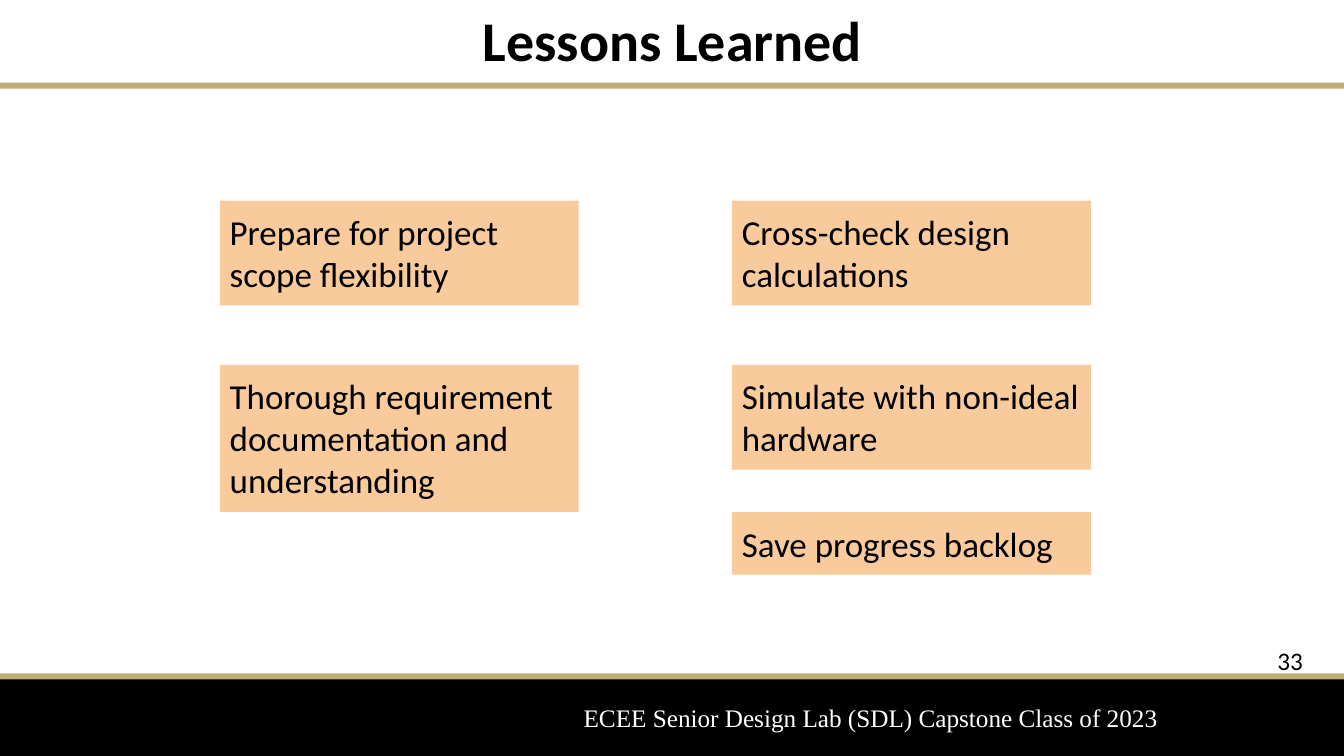
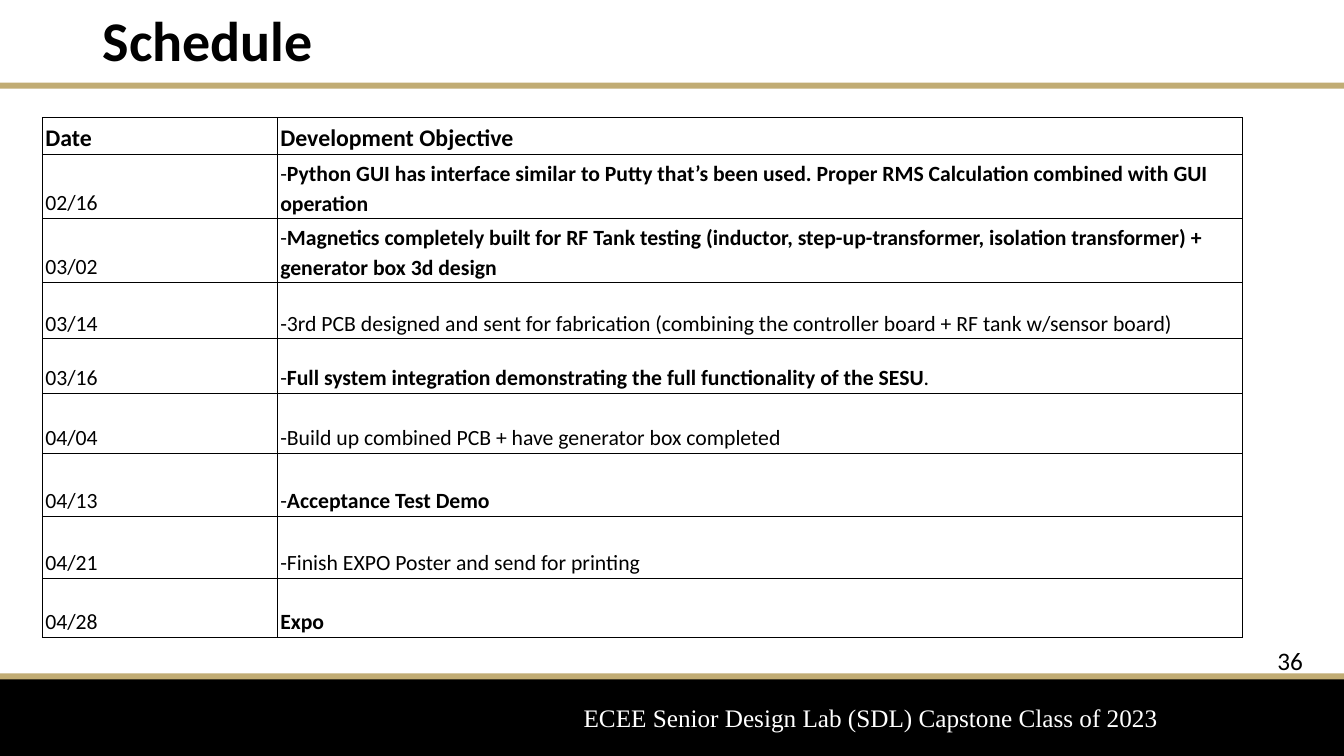
"""Build the lessons learned and schedule slides of a capstone review."""
from dataclasses import dataclass

from lxml import etree
from pptx import Presentation, util as u
from pptx.dml.color import RGBColor
from pptx.enum import shapes, text
from pptx.oxml import ns
from pptx.slide import Slide
from pptx.text.text import TextFrame

COLORS = {"black": "000000", "white": "FFFFFF", "gold": "C1AC74", "peach": "F9CB9C"}
CELL = 0.1
COLUMNS, ROWS = 133.3, 75
RULE_HEIGHT = 0.6
FOOTER_TOP = 67.3
CARD_WIDTH, CARD_LINE, CARD_INSET = 35.6, 4.2, 1
CARD_COLUMNS = (21.8, 72.6)
CARD_ROWS = (19.9, 36.2, 50.8)
TABLE_COLUMNS = (23.3, 95.7)


@dataclass(frozen=True)
class Box:
    """Area in grid columns and rows."""
    left: float
    top: float
    width: float
    height: float

    def lengths(self) -> tuple[int, ...]:
        """Return the area as slide lengths."""
        return tuple(grid(n) for n in (self.left, self.top, self.width, self.height))


@dataclass(frozen=True)
class Card:
    """Lesson at a column and row of the card grid."""
    column: int
    row: int
    lines: int
    wording: str

    def box(self) -> Box:
        """Return the area that fits the card's lines."""
        return Box(CARD_COLUMNS[self.column], CARD_ROWS[self.row], CARD_WIDTH,
                   self.lines * CARD_LINE + 2 * CARD_INSET)


@dataclass(frozen=True)
class Milestone:
    """Schedule row, with bold wording between asterisks."""
    height: float
    date: str
    objective: str
    size: float = 15.5


CARDS = (
    Card(0, 0, 2, "Prepare for project scope flexibility"),
    Card(1, 0, 2, "Cross-check design calculations"),
    Card(0, 1, 3, "Thorough requirement documentation and understanding"),
    Card(1, 1, 2, "Simulate with non-ideal hardware"),
    Card(1, 2, 1, "Save progress backlog"),
)
SCHEDULE = (
    Milestone(3.3, "*Date*", "*Development Objective*", 17),
    Milestone(4.6, "02/16", "-*Python GUI has interface similar to Putty that’s been used. "
              "Proper RMS Calculation combined with GUI operation*"),
    Milestone(4.8, "03/02", "-*Magnetics completely built for RF Tank testing (inductor, "
              "step-up-transformer, isolation transformer) + generator box 3d design*"),
    Milestone(5.6, "03/14", "-3rd PCB designed and sent for fabrication "
              "(combining the controller board + RF tank w/sensor board)"),
    Milestone(5.4, "03/16", "-*Full system integration demonstrating the full "
              "functionality of the SESU*."),
    Milestone(6, "04/04", "-Build up combined PCB + have generator box completed"),
    Milestone(6.2, "04/13", "-*Acceptance Test Demo*"),
    Milestone(6.2, "04/21", "-Finish EXPO Poster and send for printing"),
    Milestone(5.8, "04/28", "*Expo*"),
)


def grid(count: float) -> int:
    """Return the length of a number of grid cells."""
    return u.Inches(count * CELL)


def write(frame: TextFrame, wording: str, *, size: float, font: str = "Calibri",
          color: str = "black", align: text.PP_ALIGN = text.PP_ALIGN.LEFT,
          spacing: float = 1.0) -> None:
    """Write one paragraph, with bold wording between asterisks."""
    frame.word_wrap = True
    paragraph = frame.paragraphs[0]
    paragraph.alignment = align
    paragraph.line_spacing = spacing
    for index, part in enumerate(wording.split("*")):
        if part:
            run = paragraph.add_run()
            run.text = part
            run.font.name = font
            run.font.size = u.Pt(size)
            run.font.bold = index % 2 == 1
            run.font.color.rgb = RGBColor.from_string(COLORS[color])


def add_frame(slide: Slide, box: Box) -> TextFrame:
    """Add a text box and return its frame."""
    return slide.shapes.add_textbox(*box.lengths()).text_frame


def add_band(slide: Slide, box: Box, color: str) -> TextFrame:
    """Add a flat rectangle and return its frame."""
    shape = slide.shapes.add_shape(shapes.MSO_SHAPE.RECTANGLE, *box.lengths())
    shape.shadow.inherit = False
    shape.fill.solid()
    shape.fill.fore_color.rgb = RGBColor.from_string(COLORS[color])
    shape.line.fill.background()
    return shape.text_frame


def add_slide(presentation: Presentation, title: str, number: int,
              align: text.PP_ALIGN = text.PP_ALIGN.LEFT) -> Slide:
    """Add a slide with its title, rules, footer and number."""
    slide = presentation.slides.add_slide(presentation.slide_layouts[6])
    add_band(slide, Box(0, FOOTER_TOP, COLUMNS, ROWS - FOOTER_TOP), "black")
    for top in (8.2, 66.8):
        add_band(slide, Box(0, top, COLUMNS, RULE_HEIGHT), "gold")
    write(add_frame(slide, Box(56.9, 69.2, 59.5, 4)),
          "ECEE Senior Design Lab (SDL) Capstone Class of 2023",
          size=18, font="Times New Roman", color="white")
    frame = add_frame(slide, Box(9.2, 0.7, 115, 7.3))
    frame.vertical_anchor = text.MSO_ANCHOR.MIDDLE
    write(frame, f"*{title}*", size=40, align=align, spacing=0.9)
    write(add_frame(slide, Box(125.7, 63.5, 7.6, 4)), str(number), size=18)
    return slide


def add_card(slide: Slide, card: Card) -> None:
    """Add a lesson card."""
    frame = add_band(slide, card.box(), "peach")
    frame.margin_left = frame.margin_right = grid(CARD_INSET)
    frame.margin_top = frame.margin_bottom = grid(CARD_INSET)
    frame.vertical_anchor = text.MSO_ANCHOR.TOP
    write(frame, card.wording, size=25)


def add_borders(cell) -> None:
    """Draw thin black lines on every side of a table cell."""
    properties = cell._tc.get_or_add_tcPr()
    for side in ("a:lnL", "a:lnR", "a:lnT", "a:lnB"):
        line = etree.SubElement(properties, ns.qn(side), w=str(u.Pt(0.75)))
        fill = etree.SubElement(line, ns.qn("a:solidFill"))
        etree.SubElement(fill, ns.qn("a:srgbClr"), val=COLORS["black"])


def add_schedule(slide: Slide, milestones: tuple[Milestone, ...]) -> None:
    """Add the table of dates and objectives."""
    box = Box(4.2, 11.7, sum(TABLE_COLUMNS), sum(m.height for m in milestones))
    table = slide.shapes.add_table(len(milestones), len(TABLE_COLUMNS), *box.lengths()).table
    table.first_row = table.horz_banding = False
    for column, width in zip(table.columns, TABLE_COLUMNS):
        column.width = grid(width)
    for row, milestone in zip(table.rows, milestones):
        row.height = grid(milestone.height)
        for cell, wording in zip(row.cells, (milestone.date, milestone.objective)):
            cell.margin_left = cell.margin_right = grid(0.3)
            cell.margin_top = cell.margin_bottom = grid(0.2)
            cell.vertical_anchor = text.MSO_ANCHOR.BOTTOM
            add_borders(cell)
            cell.fill.background()
            write(cell.text_frame, wording, size=milestone.size, spacing=1.15)


def main() -> None:
    """Build and save the presentation."""
    presentation = Presentation()
    presentation.slide_width, presentation.slide_height = grid(COLUMNS), grid(ROWS)
    lessons = add_slide(presentation, "Lessons Learned", 33, text.PP_ALIGN.CENTER)
    for card in CARDS:
        add_card(lessons, card)
    add_schedule(add_slide(presentation, "Schedule", 36), SCHEDULE)
    presentation.save("out.pptx")


if __name__ == "__main__":
    main()
